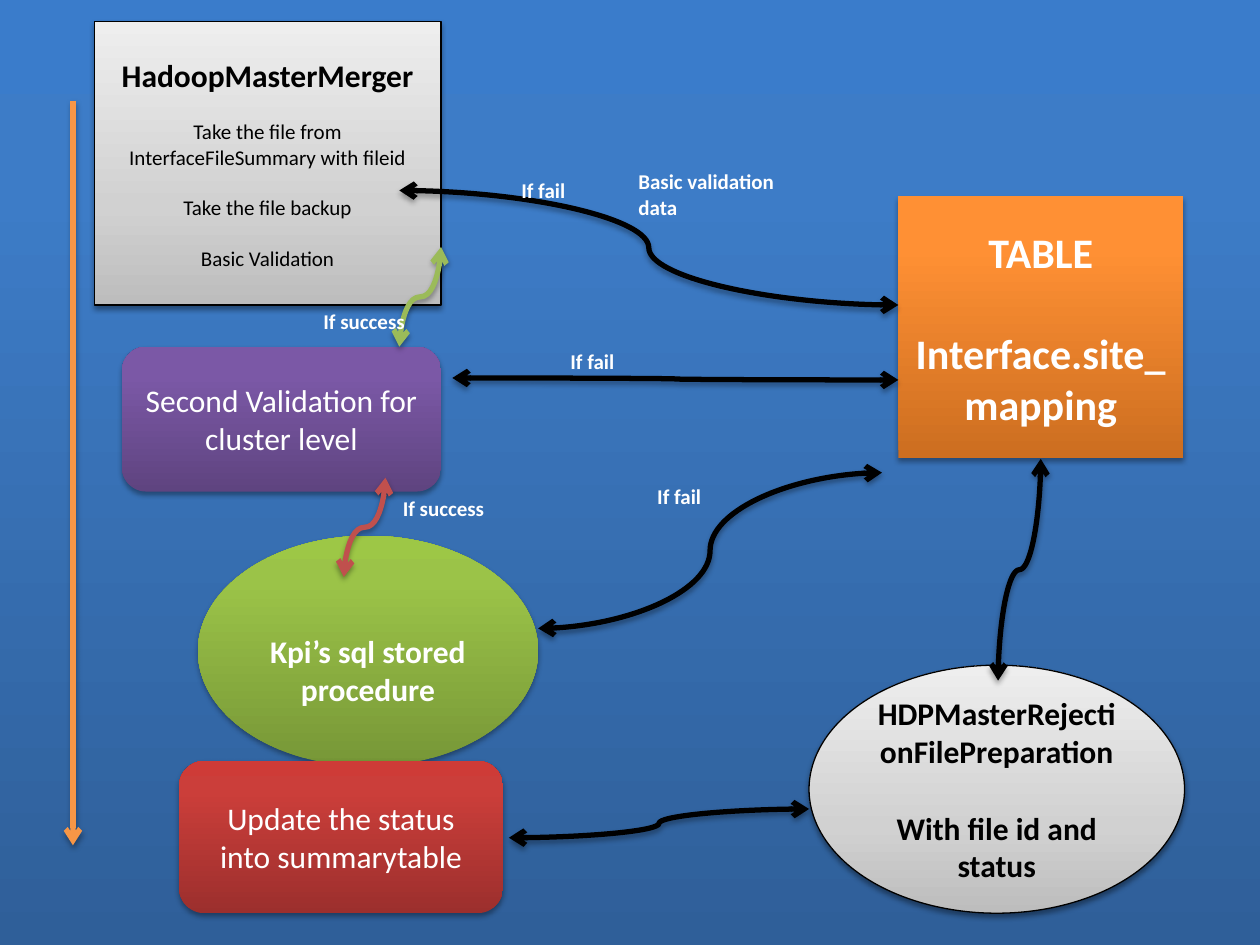
from lxml.etree import SubElement
from pptx import Presentation
from pptx.dml.color import RGBColor
from pptx.enum.shapes import MSO_CONNECTOR as Route, MSO_SHAPE as Preset
from pptx.enum.text import MSO_ANCHOR as Anchor, PP_ALIGN as Align
from pptx.oxml.ns import qn
from pptx.util import Cm, Pt

COLOURS = {"white": "FFFFFF", "black": "000000", "orange": "F79646",
           "green": "9BBB59", "red": "C0504D"}
# Gradient stops run from the bottom edge to the top edge
GRADIENTS = {
    "page": {0: "2F5F99", 80: "3D7CC7", 100: "3A7CCB"},
    "orange": {0: "CC6E20", 80: "FF9034", 100: "FF9136"},
    "grey": {0: "BDBDBD", 35: "D1D1D1", 100: "EEEEEE"},
    "green": {0: "779737", 80: "9BC348", 100: "9DC746"},
    "red": {0: "9C2F2D", 80: "CB3E3A", 100: "CE3B37"},
    "purple": {0: "5F4480", 80: "7B58A6", 100: "7C57A8"},
}


def colour(name):
    return RGBColor.from_string(COLOURS[name])


def add_colour(parent, value):
    return SubElement(parent, qn("a:srgbClr"), val=value)


def add_shadow(properties, alpha=35):
    effects = properties.find(qn("a:effectLst"))
    if effects is None:
        effects = SubElement(properties, qn("a:effectLst"))
    shadow = SubElement(effects, qn("a:outerShdw"), blurRad=str(Pt(3.1)),
                        dist=str(Pt(1.8)), dir="5400000", rotWithShape="0")
    SubElement(add_colour(shadow, COLOURS["black"]), qn("a:alpha"), val=str(alpha * 1000))


def add_text(para, text, size, bold, tint):
    span = para.add_run()
    span.text = text
    span.font.name = "Calibri"
    span.font.size = Pt(size)
    span.font.bold = bold
    span.font.color.rgb = colour(tint)


def add_block(page, box, preset, gradient, lines=(), tint="white", outlined=False, top=0.13):
    """Lines hold text, size, bold and the space before in points."""
    block = page.shapes.add_shape(preset, *map(Cm, box))
    block.shadow.inherit = False
    block.fill.gradient()
    block.fill.gradient_angle = 90
    properties = block._element.spPr
    stops = properties.find(qn("a:gradFill")).find(qn("a:gsLst"))
    for stop in list(stops):
        stops.remove(stop)
    for position, value in GRADIENTS[gradient].items():
        add_colour(SubElement(stops, qn("a:gs"), pos=str(position * 1000)), value)
    if outlined:
        block.line.color.rgb = colour("black")
        block.line.width = Pt(0.75)
    else:
        block.line.fill.background()
    add_shadow(properties, 38 if outlined else 35)

    frame = block.text_frame
    frame.word_wrap = True
    frame.vertical_anchor = Anchor.MIDDLE
    frame.margin_top = Cm(top)
    for index, (text, size, bold, gap) in enumerate(lines):
        para = frame.paragraphs[0] if index == 0 else frame.add_paragraph()
        para.alignment = Align.CENTER
        para.space_before = Pt(gap)
        add_text(para, text, size, bold, tint)


def add_arrow(page, start, end, tint="black", route=Route.CURVE, upright=False, both=True):
    (x1, y1), (x2, y2) = start, end
    if upright:
        # Lay the curve on its side, then turn it a quarter about its centre
        middle_x, middle_y = (x1 + x2) / 2, (y1 + y2) / 2
        half_width, half_height = (y2 - y1) / 2, (x1 - x2) / 2
        x1, x2 = middle_x - half_width, middle_x + half_width
        y1, y2 = middle_y - half_height, middle_y + half_height
    arrow = page.shapes.add_connector(route, *map(Cm, (x1, y1, x2, y2)))
    arrow.line.color.rgb = colour(tint)
    arrow.line.width = Pt(3)
    properties = arrow._element.spPr
    if upright:
        properties.find(qn("a:xfrm")).set("rot", "5400000")
    line = properties.find(qn("a:ln"))
    for tag in ("a:headEnd", "a:tailEnd") if both else ("a:tailEnd",):
        SubElement(line, qn(tag), type="arrow")
    add_shadow(properties)


# Left column: the processing steps
def draw_steps(page, left, top):
    add_block(page, (left, top, 6.99, 5.72), Preset.RECTANGLE, "grey", [
        ("HadoopMasterMerger", 18, True, 0),
        ("Take the file from", 12, False, 14.6),
        ("InterfaceFileSummary with fileid", 12, False, 0),
        ("Take the file backup", 12, False, 14.6),
        ("Basic Validation", 12, False, 14.6)], "black", True)
    add_block(page, (left + 2.09, top + 10.37, 6.86, 4.65), Preset.OVAL, "green",
              [("Kpi’s sql stored procedure", 18, True, 0)], top=0.9)
    add_block(page, (left + 1.71, top + 14.91, 6.53, 3.07), Preset.ROUNDED_RECTANGLE, "red",
              [("Update the status into summarytable", 18, False, 0)])
    add_block(page, (left + 0.56, top + 6.56, 6.43, 2.92), Preset.ROUNDED_RECTANGLE, "purple",
              [("Second Validation for cluster level", 18, False, 0)])


# Right column: the mapping table and the rejection file
def draw_records(page, left, top):
    add_block(page, (left + 1.8, top, 5.74, 5.28), Preset.RECTANGLE, "orange", [
        ("TABLE", 24, True, 0),
        ("Interface.site_mapping", 24, True, 29)])
    add_block(page, (left, top + 9.45, 7.57, 5), Preset.OVAL, "grey", [
        ("HDPMasterRejectionFilePreparation", 18, True, 0),
        ("With file id and status", 18, True, 22)], "black", True)


# Arrows between the blocks and down the margin
def draw_arrows(page):
    for start, end in [((8.05, 3.84), (18.11, 6.15)), ((9.12, 7.62), (18.11, 7.66)),
                       ((10.85, 12.67), (17.78, 9.53)), ((10.26, 16.89), (16.31, 16.31))]:
        add_arrow(page, start, end)
    for start, end, tint in [((20.98, 9.25), (20.12, 13.72), "black"),
                             ((8.89, 4.98), (8.05, 6.99), "green"),
                             ((7.77, 9.63), (6.93, 11.63), "red")]:
        add_arrow(page, start, end, tint, upright=True)
    add_arrow(page, (1.47, 2.03), (1.47, 17.04), "orange", Route.STRAIGHT, both=False)


# Captions beside the arrows
def draw_captions(page):
    for text, left, top, width, height in [
            ("Basic validation data", 12.62, 3.28, 4.04, 1.27),
            ("If fail", 10.26, 3.45, 2.24, 0.77),
            ("If fail", 11.25, 6.91, 2.24, 0.77),
            ("If fail", 13, 9.63, 2.24, 0.77),
            ("If success", 6.27, 6.1, 2.24, 0.77),
            ("If success", 7.87, 9.86, 2.24, 0.77)]:
        caption = page.shapes.add_textbox(*map(Cm, (left, top, width, height)))
        caption.text_frame.word_wrap = True
        add_text(caption.text_frame.paragraphs[0], text, 12, True, "white")


deck = Presentation()
deck.slide_width, deck.slide_height = Cm(25.4), Cm(19.05)
page = deck.slides.add_slide(deck.slide_layouts[6])
add_block(page, (0, 0, 25.4, 19.05), Preset.RECTANGLE, "page")
draw_records(page, 16.31, 3.96)
draw_steps(page, 1.9, 0.43)
draw_arrows(page)
draw_captions(page)
deck.save("out.pptx")
